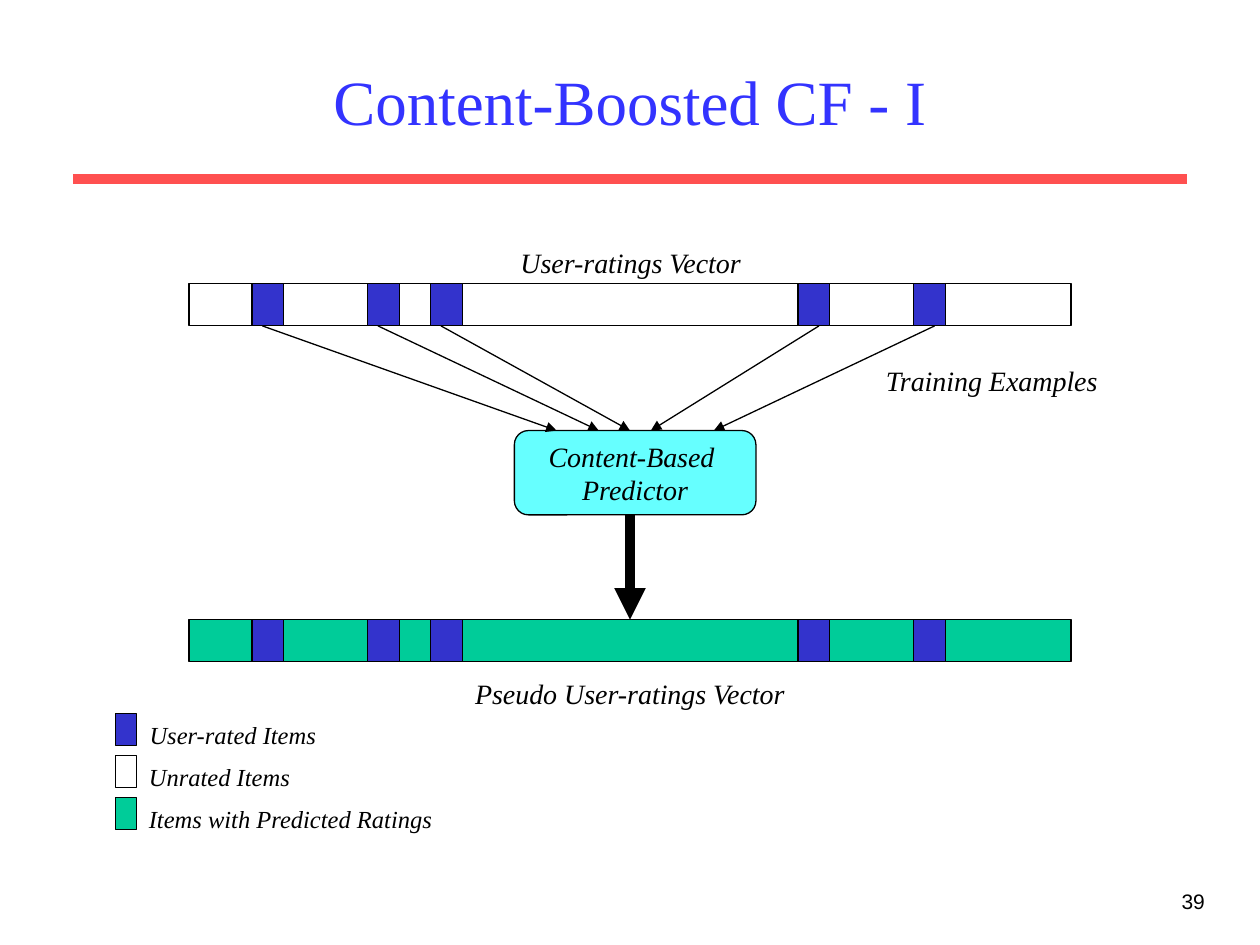
from pptx import Presentation
from pptx.dml.color import RGBColor
from pptx.enum.shapes import MSO_CONNECTOR as Line, MSO_SHAPE as Shape
from pptx.enum.text import MSO_ANCHOR as Anchor, PP_ALIGN as Align
from pptx.oxml.ns import qn
from pptx.util import Cm, Pt
from lxml.etree import SubElement

COLORS = {"title": "3333FF", "rule": "FF5050", "ink": "000000", "rated": "3333CC",
          "unrated": "FFFFFF", "predicted": "00CC99", "predictor": "66FFFF"}
SERIF = "Times New Roman"
RATED_OFFSETS = [1.27, 3.6, 4.87, 12.28, 14.61]
EXAMPLE_STARTS = [1.48, 3.81, 5.08, 12.7, 15.03]
EXAMPLE_ENDS = [0.85, 1.7, 2.33, 2.75, 4.02]


def color(name):
    """Return the named colour."""
    return RGBColor.from_string(COLORS[name])


def write(frame, text, size, font=SERIF, ink="ink", italic=True, align=Align.CENTER,
          anchor=Anchor.TOP, wrap=False):
    """Fill a text frame, one paragraph per line of text."""
    frame.word_wrap = wrap
    frame.vertical_anchor = anchor
    for number, line in enumerate(text.split("\n")):
        paragraph = frame.add_paragraph() if number else frame.paragraphs[0]
        paragraph.text = line
        paragraph.alignment = align
        paragraph.font.name = font
        paragraph.font.size = Pt(size)
        paragraph.font.italic = italic
        paragraph.font.color.rgb = color(ink)


def add_label(slide, box, text, size=16, **style):
    """Add a text box."""
    label = slide.shapes.add_textbox(*map(Cm, box))
    write(label.text_frame, text, size, **style)


def add_block(slide, box, fill, kind=Shape.RECTANGLE):
    """Add a filled and outlined shape."""
    block = slide.shapes.add_shape(kind, *map(Cm, box))
    block.shadow.inherit = False
    block.fill.solid()
    block.fill.fore_color.rgb = color(fill)
    block.line.color.rgb = color("ink")
    block.line.width = Pt(0.75)
    return block


def add_line(slide, start, end, width=0.75, ink="ink", arrow=True):
    """Add a straight line, by default with an arrowhead at its end."""
    line = slide.shapes.add_connector(Line.STRAIGHT, *map(Cm, (*start, *end)))
    line.line.color.rgb = color(ink)
    line.line.width = Pt(width)
    properties = line._element.spPr
    if arrow:
        SubElement(properties.find(qn("a:ln")), qn("a:tailEnd"), type="triangle")
    SubElement(properties, qn("a:effectLst"))


def add_header(slide, box):
    """Add the title with the rule below it."""
    left, top, width, height = box
    add_label(slide, box, "Content-Boosted CF - I", 36, ink="title", italic=False,
              anchor=Anchor.MIDDLE, wrap=True)
    rule_top = top + height + 0.22
    add_line(slide, (left - 0.43, rule_top), (left + width + 0.43, rule_top), 6, "rule", False)


def add_vector(slide, box, fill):
    """Add a ratings bar with its user-rated items."""
    left, top, width, height = box
    add_block(slide, box, fill)
    for offset in RATED_OFFSETS:
        add_block(slide, (left + offset, top, 0.64, height), "rated")


def add_predictor(slide, box, ratings, pseudo):
    """Add the predictor with arrows from the ratings and to the pseudo ratings."""
    left, top, width, height = box
    predictor = add_block(slide, box, "predictor", Shape.ROUNDED_RECTANGLE)
    write(predictor.text_frame, "Content-Based \nPredictor", 16, anchor=Anchor.MIDDLE)
    for start, end in zip(EXAMPLE_STARTS, EXAMPLE_ENDS):
        add_line(slide, (ratings[0] + start, ratings[1] + ratings[3]), (left + end, top))
    center = pseudo[0] + pseudo[2] / 2
    add_line(slide, (center, top + height), (center, pseudo[1]), 6)


def add_legend(slide, box):
    """Add the legend rows, evenly spaced over the height of the box."""
    left, top, width, height = box
    rows = [("rated", "User-rated Items", 3.89), ("unrated", "Unrated Items", 3.35),
            ("predicted", "Items with Predicted Ratings", 6.22)]
    pitch = height / len(rows)
    for number, (fill, text, text_width) in enumerate(rows):
        row_top = top + number * pitch
        add_block(slide, (left, row_top, 0.42, 0.64), fill)
        add_label(slide, (left + 0.42, row_top, text_width, pitch), text, 14)


def build():
    """Build and save the slide."""
    deck = Presentation()
    deck.slide_width, deck.slide_height = Cm(25.4), Cm(19.05)
    slide = deck.slides.add_slide(deck.slide_layouts[6])
    ratings = (3.81, 5.72, 17.78, 0.85)
    pseudo = (3.81, 12.49, 17.78, 0.85)
    add_header(slide, (1.9, 0.64, 21.6, 2.75))
    add_vector(slide, ratings, "unrated")
    add_vector(slide, pseudo, "predicted")
    add_predictor(slide, (10.37, 8.68, 4.87, 1.7), ratings, pseudo)
    add_label(slide, (10.19, 4.83, 5.05, 0.94), "User-ratings Vector")
    add_label(slide, (17.58, 7.2, 4.83, 0.94), "Training Examples")
    add_label(slide, (9.27, 13.52, 6.86, 0.94), "Pseudo User-ratings Vector")
    add_legend(slide, (2.33, 14.39, 6.64, 2.54))
    add_label(slide, (19.26, 17.78, 5.28, 1.27), "39", 12, font="Arial", italic=False,
              align=Align.RIGHT, wrap=True)
    deck.save("out.pptx")


build()
